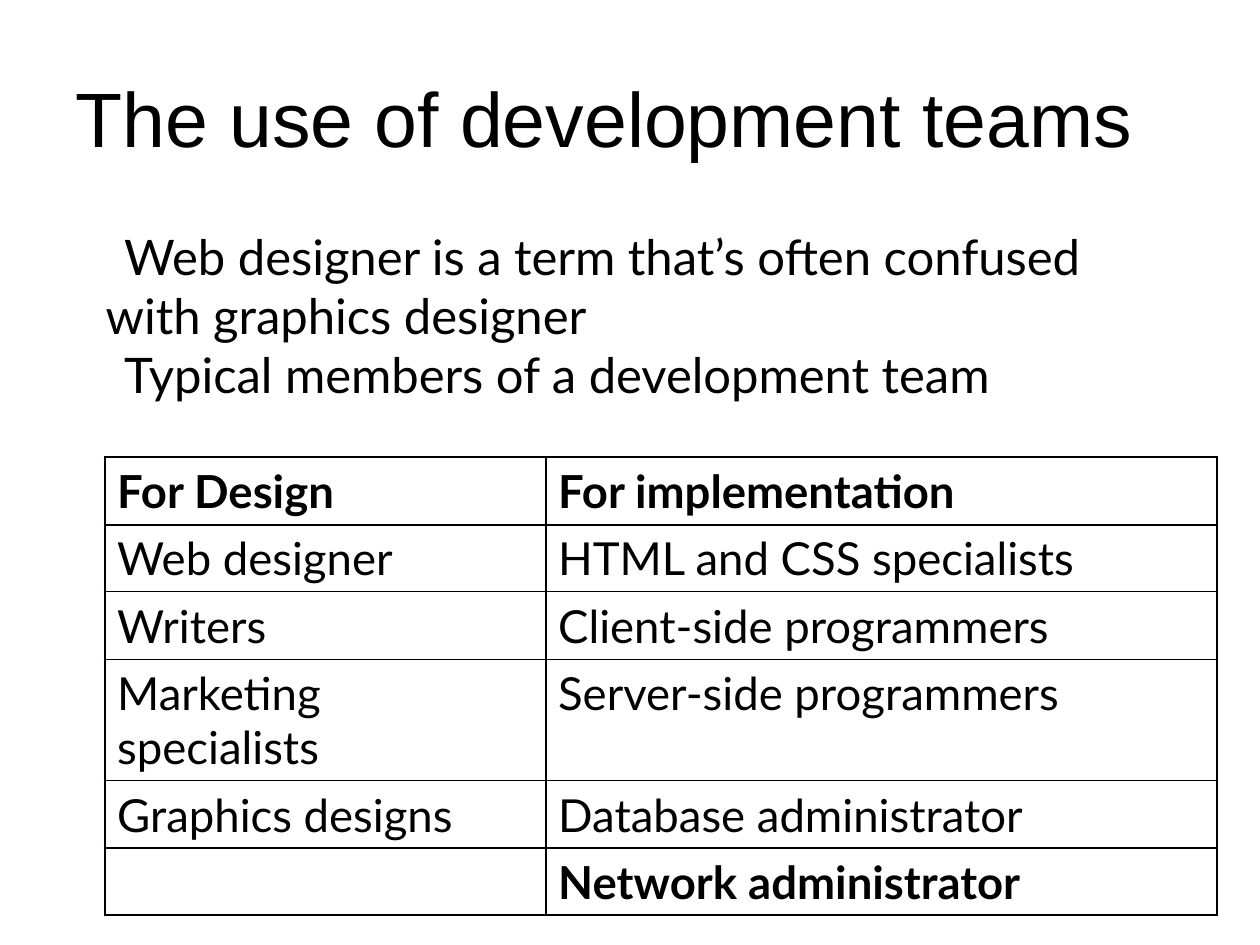
from lxml.etree import SubElement
from pptx import Presentation
from pptx.dml.color import RGBColor
from pptx.enum.text import MSO_ANCHOR
from pptx.oxml.ns import qn
from pptx.util import Inches, Pt

COLORS = {"ink": "000000", "paper": "FFFFFF"}
INK = RGBColor.from_string(COLORS["ink"])
CLOCK = "·"  # draws as a clock face in Wingdings
TITLE = "The use of development teams"
POINTS = [
    "Web designer is a term that’s often confused with graphics designer",
    "Typical members of a development team",
]
TEAM = [
    ("For Design", "For implementation"),
    ("Web designer", "HTML and CSS specialists"),
    ("Writers", "Client-side programmers"),
    ("Marketing specialists", "Server-side programmers"),
    ("Graphics designs", "Database administrator"),
    ("", "Network administrator"),
]
COL_WIDTHS = [3.5, 5.33]
ROW_HEIGHTS = [0.52, 0.52, 0.52, 0.95, 0.52, 0.52]
THICK, THIN = Pt(1.25), Pt(0.5)


def style(p, size, name, bold=False):
    f = p.font
    f.size, f.name, f.bold = Pt(size), name, bold
    f.color.rgb = INK


def add_text(s, box, lines, size, name, anchor=MSO_ANCHOR.TOP):
    tf = s.shapes.add_textbox(*map(Inches, box)).text_frame
    tf.word_wrap = True
    tf.vertical_anchor = anchor
    tf.text = "\n".join(lines)
    for p in tf.paragraphs:
        style(p, size, name)
    return tf


def add_title(s, box):
    add_text(s, box, [TITLE], 44, "Arial", MSO_ANCHOR.MIDDLE)


def add_points(s, box):
    tf = add_text(s, box, POINTS, 28, "Lato")
    for p in tf.paragraphs:
        pPr = p._p.get_or_add_pPr()
        pPr.set("marL", str(Inches(0.24)))
        pPr.set("indent", str(-Inches(0.24)))
        font = {"typeface": "Wingdings", "pitchFamily": "2", "charset": "2"}
        pPr.insert(0, pPr.makeelement(qn("a:buFont"), font))
        pPr.insert(1, pPr.makeelement(qn("a:buChar"), {"char": CLOCK}))


def set_borders(cell, top, bottom):
    tcPr = cell._tc.get_or_add_tcPr()
    widths = {"a:lnL": THICK, "a:lnR": THICK, "a:lnT": top, "a:lnB": bottom}
    for i, (tag, width) in enumerate(widths.items()):
        ln = tcPr.makeelement(qn(tag), {"w": str(width)})
        fill = SubElement(ln, qn("a:solidFill"))
        SubElement(fill, qn("a:srgbClr"), val=COLORS["ink"])
        tcPr.insert(i, ln)


def add_team_table(s, box):
    last = len(TEAM) - 1
    table = s.shapes.add_table(len(TEAM), len(COL_WIDTHS), *map(Inches, box)).table
    for col, width in zip(table.columns, COL_WIDTHS):
        col.width = Inches(width)
    for row, height in zip(table.rows, ROW_HEIGHTS):
        row.height = Inches(height)
    for i, names in enumerate(TEAM):
        top = THICK if i in (0, 1, last) else THIN
        bottom = THICK if i in (0, last - 1, last) else THIN
        for j, name in enumerate(names):
            cell = table.cell(i, j)
            cell.text = name
            style(cell.text_frame.paragraphs[0], 26, "Lato", i in (0, last))
            cell.fill.solid()
            cell.fill.fore_color.rgb = RGBColor.from_string(COLORS["paper"])
            set_borders(cell, top, bottom)


def main():
    prs = Presentation()
    prs.slide_width, prs.slide_height = Inches(10), Inches(7.5)
    s = prs.slides.add_slide(prs.slide_layouts[6])
    add_title(s, (0.5, 0.3, 9, 1.25))
    add_points(s, (0.5, 1.75, 9, 4.95))
    add_team_table(s, (0.83, 3.63, sum(COL_WIDTHS), sum(ROW_HEIGHTS)))
    prs.save("out.pptx")


if __name__ == "__main__":
    main()
